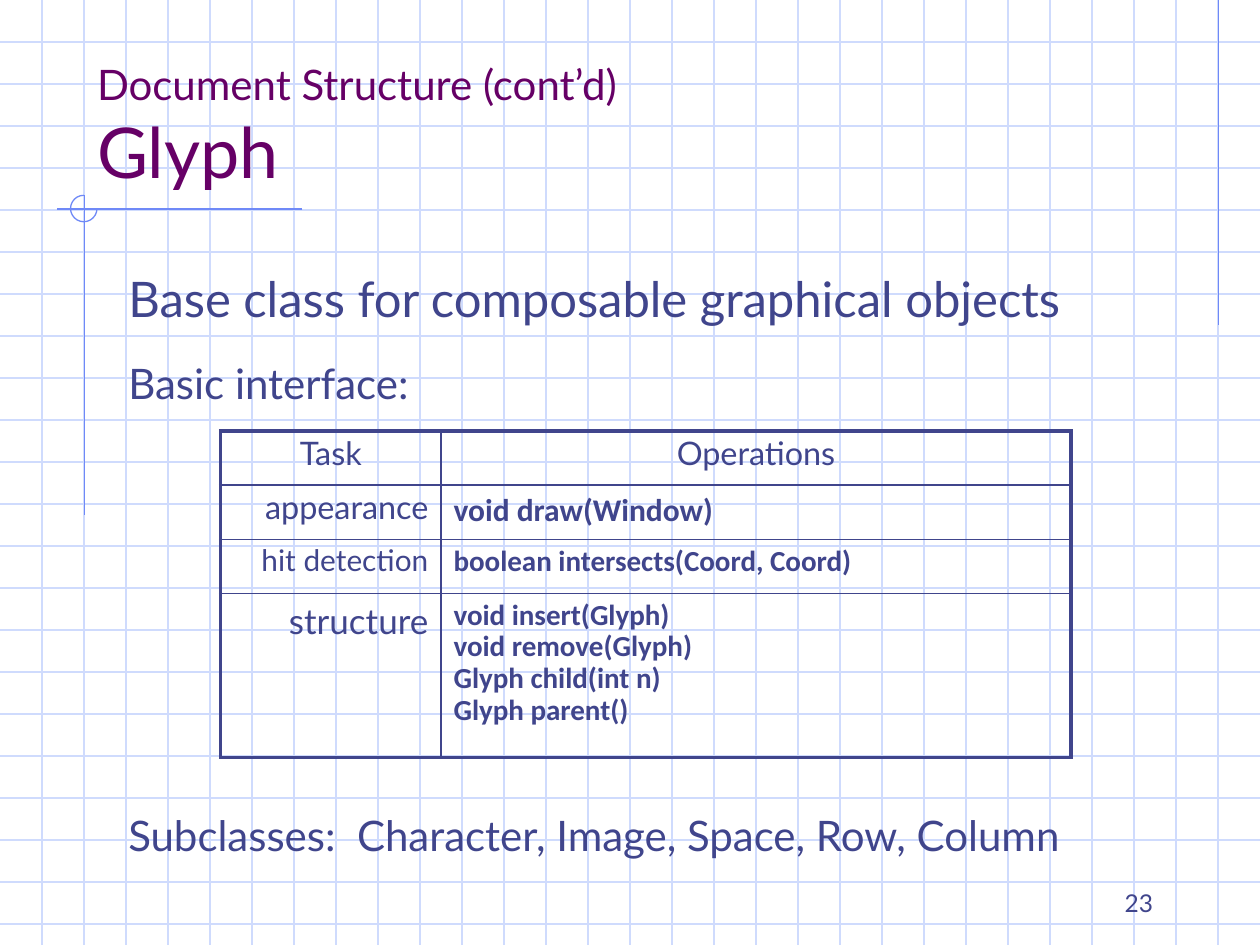
from lxml import etree
from pptx import Presentation
from pptx import util as u
from pptx.dml.color import RGBColor
from pptx.enum import shapes, text
from pptx.oxml.ns import qn

INK, PURPLE, GRID, ACCENT = "40458C", "660066", "CFDBFD", "6F89F7"
LEFT, CENTER, RIGHT = text.PP_ALIGN.LEFT, text.PP_ALIGN.CENTER, text.PP_ALIGN.RIGHT


def rgb(value):
    return RGBColor.from_string(value)


def add_run(paragraph, words, size, color=INK, font="Lato", bold=False):
    run = paragraph.add_run()
    run.text = words
    run.font.size = u.Pt(size)
    run.font.name = font
    run.font.bold = bold
    run.font.color.rgb = rgb(color)


def add_line(slide, start, end, color):
    line = slide.shapes.add_connector(
        shapes.MSO_CONNECTOR.STRAIGHT, *(u.Inches(value) for value in start + end))
    line.line.color.rgb = rgb(color)
    line.line.width = u.Pt(0.75)
    etree.SubElement(line._element.spPr, qn("a:effectLst"))


def add_text(slide, box, words, size, align=LEFT, anchor=text.MSO_ANCHOR.TOP, spacing=1.0):
    frame = slide.shapes.add_textbox(*(u.Inches(value) for value in box)).text_frame
    frame.word_wrap = True
    frame.vertical_anchor = anchor
    paragraph = frame.paragraphs[0]
    paragraph.alignment = align
    paragraph.line_spacing = spacing
    add_run(paragraph, words, size)


def add_background(slide):
    # Squared paper, three squares to the inch
    for step in range(1, 23):
        add_line(slide, (0, step / 3), (10, step / 3), GRID)
    for step in range(1, 30):
        add_line(slide, (step / 3, 0), (step / 3, 7.5), GRID)

    # Accent lines and the open circle where two of them cross
    add_line(slide, (9.67, 0), (9.67, 2.58), ACCENT)
    add_line(slide, (2.4, 1.66), (0.45, 1.66), ACCENT)
    add_line(slide, (0.67, 1.55), (0.67, 4.09), ACCENT)
    circle = slide.shapes.add_shape(
        shapes.MSO_SHAPE.ARC, u.Inches(0.56), u.Inches(1.55), u.Inches(0.21), u.Inches(0.21))
    circle.adjustments[0] = 0
    circle.adjustments[1] = 162  # 270 degrees
    circle.shadow.inherit = False
    circle.fill.background()
    circle.line.color.rgb = rgb(ACCENT)
    circle.line.width = u.Pt(0.75)


def set_title(slide):
    title = slide.shapes.title
    title.left, title.top = u.Inches(0.67), u.Inches(0.33)
    title.width, title.height = u.Inches(8.5), u.Inches(1.25)
    frame = title.text_frame
    frame.auto_size = text.MSO_AUTO_SIZE.NONE
    frame.vertical_anchor = text.MSO_ANCHOR.BOTTOM
    paragraph = frame.paragraphs[0]
    paragraph.alignment = LEFT
    add_run(paragraph, "Document Structure (cont’d)", 24, PURPLE)
    paragraph.add_line_break()
    add_run(paragraph, "Glyph", 40, PURPLE)
    # Bring the title in front of the squared paper
    slide.shapes._spTree.append(title._element)


def set_borders(cell, widths):
    properties = cell._tc.get_or_add_tcPr()
    for position, (side, width) in enumerate(widths.items()):
        border = etree.Element(qn("a:ln" + side), w=str(u.Pt(width)))
        fill = etree.SubElement(border, qn("a:solidFill"))
        etree.SubElement(fill, qn("a:srgbClr"), val=INK)
        properties.insert(position, border)


def fill_cell(cell, lines, size, align, spacing, font="Lato", bold=False):
    cell.fill.background()
    cell.margin_left = cell.margin_right = u.Inches(0.1)
    cell.margin_top = cell.margin_bottom = u.Inches(0.05)
    paragraph = cell.text_frame.paragraphs[0]
    paragraph.alignment = align
    paragraph.line_spacing = spacing
    for index, line in enumerate(lines):
        if index:
            paragraph.add_line_break()
        add_run(paragraph, line, size, font=font, bold=bold)


def add_interface_table(slide):
    # Task, its size and spacing; operations, their size and spacing
    rows = [
        ("appearance", 18.5, 0.9, ["void draw(Window)"], 18, 1.0),
        ("hit detection", 17, 0.9, ["boolean intersects(Coord, Coord)"], 16.6, 0.9),
        ("structure", 20, 1.0, ["void insert(Glyph)", "void remove(Glyph)",
                                "Glyph child(int n)", "Glyph parent()"], 16.6, 0.9),
    ]
    table = slide.shapes.add_table(
        4, 2, u.Inches(1.75), u.Inches(3.42), u.Inches(6.75), u.Inches(2.59)).table
    table.first_row = table.horz_banding = False
    for column, width in zip(table.columns, (1.75, 5)):
        column.width = u.Inches(width)
    for row, height in zip(table.rows, (0.43, 0.43, 0.43, 1.3)):
        row.height = u.Inches(height)

    for column, heading in enumerate(("Task", "Operations")):
        fill_cell(table.cell(0, column), [heading], 18.5, CENTER, 0.9)
    for index, (task, size, spacing, calls, call_size, call_spacing) in enumerate(rows, 1):
        fill_cell(table.cell(index, 0), [task], size, RIGHT, spacing)
        fill_cell(table.cell(index, 1), calls, call_size, LEFT, call_spacing, "Calibri", True)

    # Heavy frame, medium rule below the headings, thin rules elsewhere
    rules = (2.25, 1.5, 1, 1, 2.25)
    uprights = (2.25, 1, 2.25)
    for row in range(4):
        for column in range(2):
            set_borders(table.cell(row, column), {
                "L": uprights[column], "R": uprights[column + 1],
                "T": rules[row], "B": rules[row + 1]})


def main():
    presentation = Presentation()
    presentation.slide_width = u.Inches(10)
    presentation.slide_height = u.Inches(7.5)
    slide = presentation.slides.add_slide(presentation.slide_layouts[5])

    add_background(slide)
    set_title(slide)
    add_text(slide, (0.92, 2.08, 8.5, 0.58), "Base class for composable graphical objects", 28)
    add_text(slide, (0.92, 2.83, 8.5, 0.5), "Basic interface:", 24, spacing=0.9)
    add_interface_table(slide)
    add_text(slide, (0.92, 6.42, 8.5, 0.5),
             "Subclasses:  Character, Image, Space, Row, Column", 24, spacing=0.9)
    # Page number
    add_text(slide, (7.17, 6.83, 2.08, 0.5), "23", 14, RIGHT, text.MSO_ANCHOR.BOTTOM)

    presentation.save("out.pptx")


if __name__ == "__main__":
    main()
